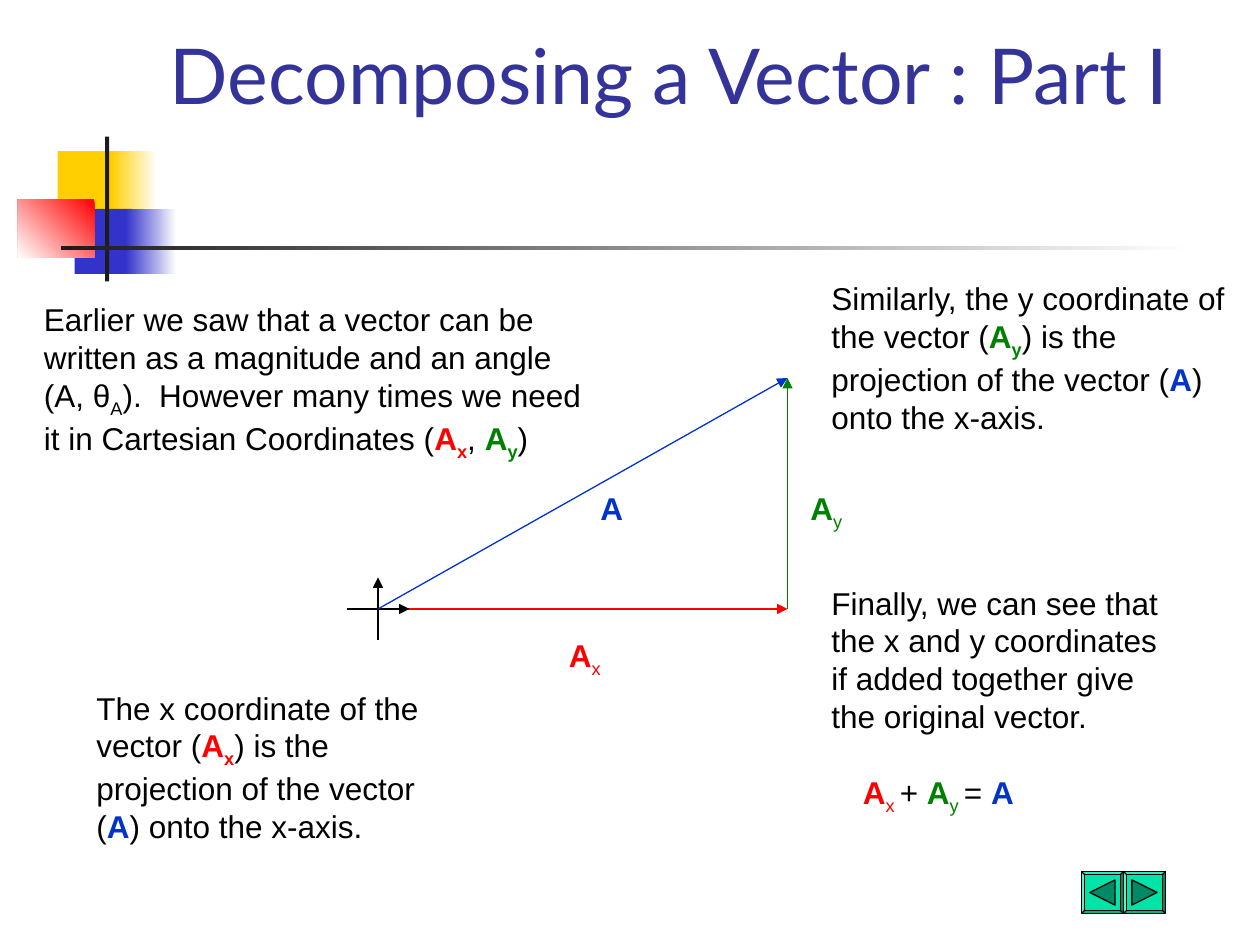
from typing import NamedTuple

from lxml.etree import SubElement
from pptx import Presentation
from pptx.dml.color import RGBColor
from pptx.enum.shapes import MSO_CONNECTOR, MSO_SHAPE
from pptx.enum.text import MSO_ANCHOR, MSO_AUTO_SIZE
from pptx.oxml.ns import qn
from pptx.util import Pt

PX = 7620  # EMU per px, 120 px to the inch

COLORS = {
    "text": "000000",
    "title": "333399",
    "x": "FF0000",
    "y": "008000",
    "vector": "0033CC",
    "yellow": "FFCF01",
    "indigo": "3333CC",
    "charcoal": "1C1C1C",
    "white": "FFFFFF",
    "button": "00E4A8",
    "button_icon": "008966",
}


class Box(NamedTuple):
    left: int
    top: int
    width: int
    height: int


class Block(NamedTuple):
    box: Box
    color: str
    fade_angle: int | None = None


class Arrow(NamedTuple):
    start: tuple[int, int]
    end: tuple[int, int]
    color: str


class Run(NamedTuple):
    text: str
    color: str = "text"
    bold: bool = False
    sub: bool = False


class TextBlock(NamedTuple):
    box: Box
    runs: list[Run]


def component(axis: str, bold_sub: bool = True, gap: str = "") -> list[Run]:
    """Runs for a vector component: bold A with the axis as subscript."""
    return [Run("A", axis, True), Run(axis + gap, axis, bold_sub, True)]


VECTOR = Run("A", "vector", True)

ORNAMENT = [
    Block(Box(55, 144, 58, 62), "yellow"),
    Block(Box(106, 144, 43, 62), "yellow", 0),
    Block(Box(71, 199, 55, 62), "indigo"),
    Block(Box(120, 199, 48, 62), "indigo", 0),
    Block(Box(17, 190, 73, 55), "x", 225),
    Block(Box(100, 130, 4, 138), "charcoal"),
    Block(Box(58, 234, 1080, 4), "charcoal", 0),
]

ORIGIN, CORNER, TIP = (360, 580), (750, 580), (750, 360)
AXIS_REACH = 30
ARROWS = [
    Arrow(ORIGIN, CORNER, "x"),
    Arrow(CORNER, TIP, "y"),
    Arrow((ORIGIN[0], ORIGIN[1] + AXIS_REACH), (ORIGIN[0], ORIGIN[1] - AXIS_REACH), "text"),
    Arrow((ORIGIN[0] - AXIS_REACH, ORIGIN[1]), (ORIGIN[0] + AXIS_REACH, ORIGIN[1]), "text"),
    Arrow(ORIGIN, TIP, "vector"),
]

PROJECTION = [Run(") is the projection of the vector ("), VECTOR, Run(") onto the x-axis.")]
TEXTS = [
    TextBlock(Box(530, 600, 70, 53), component("x", False)),
    TextBlock(Box(760, 460, 60, 53), component("y", False)),
    TextBlock(Box(560, 460, 50, 48), [VECTOR]),
    TextBlock(Box(30, 280, 552, 166), [
        Run("Earlier we saw that a vector can be written as a magnitude and an angle (A, θ"),
        Run("A", sub=True),
        Run(").  However many times we need it in Cartesian Coordinates ("),
        *component("x"), Run(", "), *component("y"), Run(")"),
    ]),
    TextBlock(Box(80, 650, 340, 161), [
        Run("The x coordinate of the vector ("), *component("x"), *PROJECTION,
    ]),
    TextBlock(Box(780, 260, 420, 161), [
        Run("Similarly, the y coordinate of the vector ("), *component("y"), *PROJECTION,
    ]),
    TextBlock(Box(780, 550, 350, 156), [
        Run("Finally, we can see that the x and y coordinates if added together "
            "give the original vector."),
    ]),
    TextBlock(Box(810, 730, 230, 53), [
        *component("x", False, " "), Run("+ ", sub=False),
        *component("y", False, " "), Run("= "), VECTOR,
    ]),
]

BUTTON_SIZE, ICON_INSET = 40, 8
BUTTON_TOP, BACK_LEFT = 830, 1030


def rgb(color: str) -> RGBColor:
    return RGBColor.from_string(COLORS[color])


def emu(box: Box) -> list[int]:
    return [length * PX for length in box]


def add_block(shapes, block: Block) -> None:
    """Draw a borderless rectangle, fading to white when it has a fade angle."""
    shape = shapes.add_shape(MSO_SHAPE.RECTANGLE, *emu(block.box))
    shape.shadow.inherit = False
    shape.line.fill.background()
    if block.fade_angle is None:
        shape.fill.solid()
        shape.fill.fore_color.rgb = rgb(block.color)
        return
    shape.fill.gradient()
    shape.fill.gradient_angle = block.fade_angle
    for stop, color, position in zip(shape.fill.gradient_stops, (block.color, "white"), (0, 1)):
        stop.color.rgb = rgb(color)
        stop.position = position


def add_arrow(shapes, arrow: Arrow) -> None:
    ends = [length * PX for length in (*arrow.start, *arrow.end)]
    connector = shapes.add_connector(MSO_CONNECTOR.STRAIGHT, *ends)
    connector.line.color.rgb = rgb(arrow.color)
    connector.line.width = Pt(0.75)
    SubElement(connector.line._get_or_add_ln(), qn("a:tailEnd"), type="triangle")
    SubElement(connector._element.spPr, qn("a:effectLst"))


def add_run(paragraph, text: str, *, color: str = "text", bold: bool = False,
            sub: bool = False, size: int = 18, font: str = "Arial") -> None:
    run = paragraph.add_run()
    run.text = text
    run.font.name = font
    run.font.size = Pt(size)
    run.font.bold = bold
    run.font.color.rgb = rgb(color)
    if sub:
        run.font._element.set("baseline", "-25000")


def add_text_frame(shapes, box: Box):
    frame = shapes.add_textbox(*emu(box)).text_frame
    frame.word_wrap = True
    return frame


def add_button(shapes, left: int, forward: bool) -> None:
    """Draw a bevelled navigation button with a triangle."""
    bevel = shapes.add_shape(
        MSO_SHAPE.BEVEL, *emu(Box(left, BUTTON_TOP, BUTTON_SIZE, BUTTON_SIZE)))
    bevel.adjustments[0] = 0.07
    near, far = left + ICON_INSET, left + BUTTON_SIZE - ICON_INSET
    base, point = (near, far) if forward else (far, near)
    builder = shapes.build_freeform(base, BUTTON_TOP + ICON_INSET, scale=PX)
    builder.add_line_segments([
        (point, BUTTON_TOP + BUTTON_SIZE // 2),
        (base, BUTTON_TOP + BUTTON_SIZE - ICON_INSET),
    ])
    for shape, color in ((bevel, "button"), (builder.convert_to_shape(), "button_icon")):
        shape.shadow.inherit = False
        shape.fill.solid()
        shape.fill.fore_color.rgb = rgb(color)
        shape.line.color.rgb = rgb("text")
        shape.line.width = Pt(0.75)


def main() -> None:
    deck = Presentation()
    deck.slide_width, deck.slide_height = 1200 * PX, 900 * PX
    shapes = deck.slides.add_slide(deck.slide_layouts[6]).shapes

    for block in ORNAMENT:
        add_block(shapes, block)
    add_button(shapes, BACK_LEFT + BUTTON_SIZE, forward=True)
    add_button(shapes, BACK_LEFT, forward=False)
    for arrow in ARROWS:
        add_arrow(shapes, arrow)

    title = add_text_frame(shapes, Box(150, 20, 1022, 100))
    title.vertical_anchor = MSO_ANCHOR.BOTTOM
    add_run(title.paragraphs[0], "Decomposing a Vector : Part I",
            color="title", size=44, font="Lato")
    for block in TEXTS:
        frame = add_text_frame(shapes, block.box)
        frame.auto_size = MSO_AUTO_SIZE.SHAPE_TO_FIT_TEXT
        for run in block.runs:
            add_run(frame.paragraphs[0], run.text, color=run.color, bold=run.bold, sub=run.sub)

    deck.save("out.pptx")


if __name__ == "__main__":
    main()
